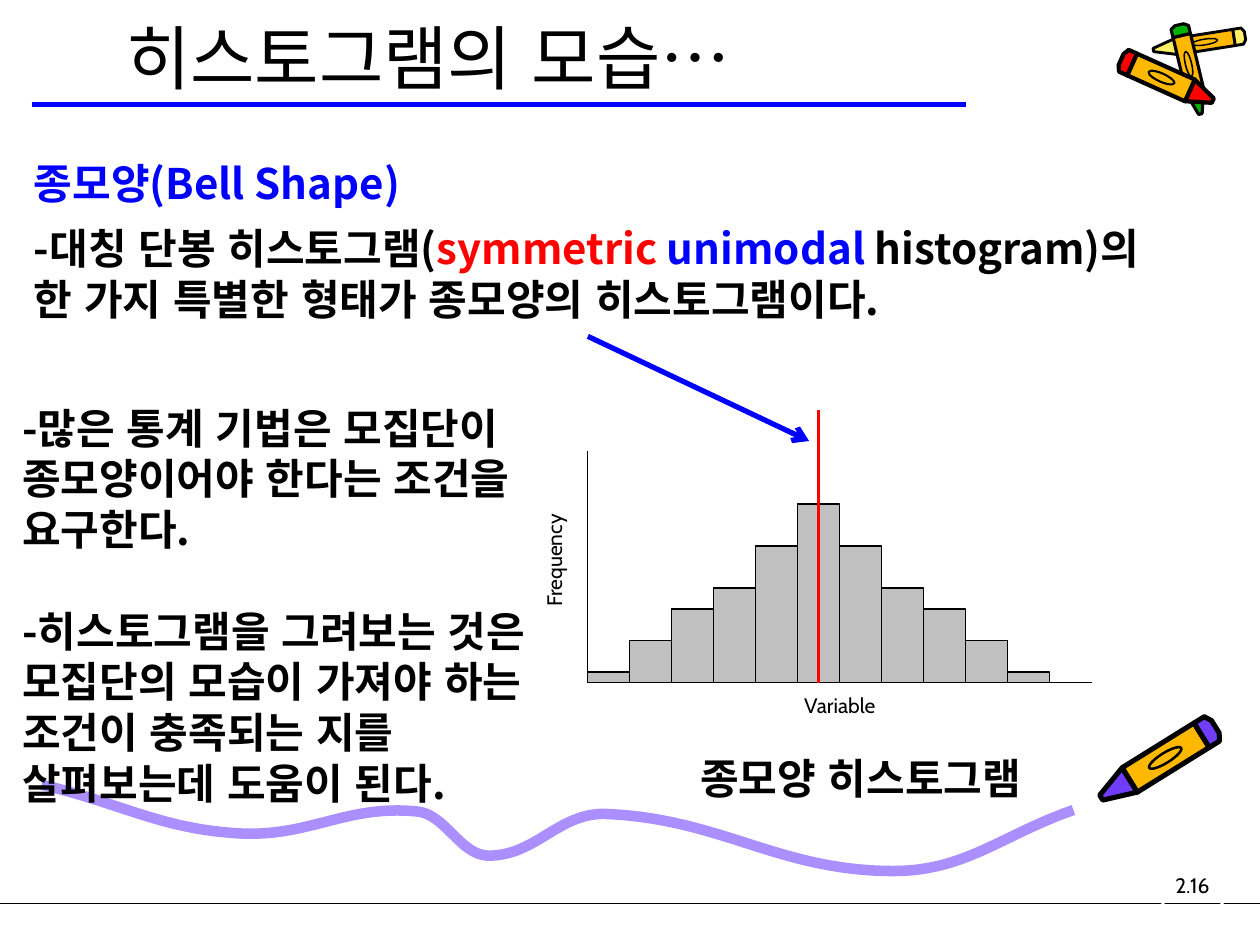
from dataclasses import dataclass
from itertools import pairwise
from math import atan2, degrees, hypot

from lxml.etree import SubElement
from pptx import Presentation
from pptx.dml.color import RGBColor
from pptx.enum.lang import MSO_LANGUAGE_ID
from pptx.enum.shapes import MSO_CONNECTOR, MSO_SHAPE
from pptx.enum.text import MSO_ANCHOR, MSO_AUTO_SIZE, PP_ALIGN
from pptx.oxml.ns import qn
from pptx.util import Cm, Pt


@dataclass(frozen=True)
class Theme:
    black: str = "000000"
    white: str = "FFFFFF"
    blue: str = "0000FF"
    red: str = "FF0000"
    bar: str = "C0C0C0"
    wave: str = "AC8FFF"
    wood: str = "FFB800"
    yellow: str = "FFEF66"
    green: str = "00B200"
    violet: str = "703DFF"
    korean: str = "Noto Sans CJK KR"
    latin: str = "Cabin"
    title_size: int = 40
    body_size: int = 24
    label_size: int = 12
    line_pitch: int = 29


@dataclass(frozen=True)
class Crayon:
    """A crayon from its blunt end to its tip, in centimetres."""
    end: tuple
    tip: tuple
    width: float
    color: str


@dataclass(frozen=True)
class Knot:
    """A point that the wave passes with a given slope, in centimetres."""
    x: float
    y: float
    slope: float


THEME = Theme()
CRAYONS = [
    Crayon((25.1, 0.72), (23.25, 1.01), 0.33, THEME.yellow),
    Crayon((23.77, 0.5), (24.2, 2.3), 0.36, THEME.green),
    Crayon((22.6, 1.2), (24.45, 2.03), 0.48, THEME.red),
    Crayon((24.5, 14.65), (22.2, 16.08), 0.58, THEME.violet),
]
WAVE_KNOTS = [
    Knot(0.84, 15.82, 0.23), Knot(4.8, 16.8, 0.06), Knot(8.41, 16.36, 0.1), Knot(9.86, 17.25, 0),
    Knot(12.22, 16.41, 0.04), Knot(18.01, 17.56, 0), Knot(21.64, 16.33, -0.35),
]
RISING_BARS = [1, 4, 7, 9, 13]
BAR_HEIGHTS = RISING_BARS + [17] + RISING_BARS[::-1]


def rgb(color):
    return RGBColor.from_string(color)


def set_fill(shape, color):
    shape.fill.solid()
    shape.fill.fore_color.rgb = rgb(color)


def set_line(shape, color, width):
    shape.line.color.rgb = rgb(color)
    shape.line.width = Pt(width)


def style_paragraph(para, font, size, bold=False, align=PP_ALIGN.LEFT, color=THEME.black):
    para.alignment = align
    para.font.name = font
    para.font.size = Pt(size)
    para.font.bold = bold
    para.font.color.rgb = rgb(color)
    para.font.language_id = MSO_LANGUAGE_ID.KOREAN
    defaults = para._p.get_or_add_pPr().get_or_add_defRPr()
    SubElement(defaults, qn("a:ea"), typeface=font)


def style_body_paragraph(para, space_before=0, color=THEME.black):
    style_paragraph(para, THEME.korean, THEME.body_size, bold=True, color=color)
    para.line_spacing = Pt(THEME.line_pitch)
    para.space_before = Pt(space_before)


def place(shape, left, top, width, height):
    shape.left, shape.top, shape.width, shape.height = Cm(left), Cm(top), Cm(width), Cm(height)


def add_preset(page, kind, left, top, width, height):
    shape = page.shapes.add_shape(kind, Cm(left), Cm(top), Cm(width), Cm(height))
    shape.shadow.inherit = False
    return shape


def add_label(page, text, frame, font=THEME.latin, size=THEME.label_size, bold=False, rotation=0):
    box = page.shapes.add_textbox(*map(Cm, frame))
    box.rotation = rotation
    box.text_frame.word_wrap = True
    box.text_frame.vertical_anchor = MSO_ANCHOR.MIDDLE
    para = box.text_frame.paragraphs[0]
    para.text = text
    style_paragraph(para, font, size, bold, PP_ALIGN.CENTER)


def add_line(page, start, end, color=THEME.black, width=0.75, arrow=False):
    line = page.shapes.add_connector(MSO_CONNECTOR.STRAIGHT, *map(Cm, start + end))
    set_line(line, color, width)
    if arrow:
        SubElement(line.line._get_or_add_ln(), qn("a:tailEnd"), type="arrow")
    SubElement(line._element.spPr, qn("a:effectLst"))


def add_outline(page, points, closed):
    corners = [(Cm(x), Cm(y)) for x, y in points]
    builder = page.shapes.build_freeform(*corners[0])
    builder.add_line_segments(corners[1:], close=closed)
    shape = builder.convert_to_shape()
    shape.shadow.inherit = False
    return shape


def add_crayon(page, crayon):
    """Draw a coloured cone, a wooden barrel and a coloured cap, then an oval mark on the barrel."""
    (end_x, end_y), (tip_x, tip_y) = crayon.end, crayon.tip
    run, rise = tip_x - end_x, tip_y - end_y
    length = hypot(run, rise)
    stroke = 5 * crayon.width

    def locate(along, across):
        """Turn a share of the length and of the half width into a point on the page."""
        offset = across * crayon.width / 2 / length
        return end_x + along * run - offset * rise, end_y + along * rise + offset * run

    parts = [
        (crayon.color, [(0.75, -1), (1, -0.2), (1, 0.2), (0.75, 1)]),
        (THEME.wood, [(0.12, -1), (0.75, -1), (0.75, 1), (0.12, 1)]),
        (crayon.color, [(0.12, -1), (0.03, -1), (0, -0.5), (0, 0.5), (0.03, 1), (0.12, 1)]),
    ]
    for color, corners in parts:
        part = add_outline(page, [locate(*corner) for corner in corners], closed=True)
        set_fill(part, color)
        set_line(part, THEME.black, stroke)

    mark_width, mark_height = 0.28 * length, 0.35 * crayon.width
    x, y = locate(0.44, 0)
    mark = add_preset(page, MSO_SHAPE.OVAL, x - mark_width / 2, y - mark_height / 2, mark_width, mark_height)
    mark.rotation = degrees(atan2(rise, run))
    mark.fill.background()
    set_line(mark, THEME.black, stroke / 2)


def add_wave(page, steps=40, reach=0.4):
    """Join the knots by cubic curves whose handles reach a fixed share of each span."""
    points = [(WAVE_KNOTS[0].x, WAVE_KNOTS[0].y)]
    for start, end in pairwise(WAVE_KNOTS):
        handle = reach * (end.x - start.x)
        controls = [
            (start.x, start.y),
            (start.x + handle, start.y + handle * start.slope),
            (end.x - handle, end.y - handle * end.slope),
            (end.x, end.y),
        ]
        for step in range(1, steps + 1):
            t = step / steps
            weights = ((1 - t) ** 3, 3 * t * (1 - t) ** 2, 3 * t ** 2 * (1 - t), t ** 3)
            points.append(tuple(sum(w * value for w, value in zip(weights, axis)) for axis in zip(*controls)))
    wave = add_outline(page, points, closed=False)
    wave.fill.background()
    set_line(wave, THEME.wave, 6)


def add_title(page, text):
    title = page.shapes.title
    place(title, 2.29, 0.38, 20.9, 1.52)
    title.text_frame.auto_size = MSO_AUTO_SIZE.NONE
    title.text_frame.vertical_anchor = MSO_ANCHOR.MIDDLE
    title.text_frame.text = text
    style_paragraph(title.text_frame.paragraphs[0], THEME.korean, THEME.title_size)


def add_definition(page):
    body = page.placeholders[1]
    place(body, 0.43, 3.05, 23, 4.34)
    frame = body.text_frame
    frame.auto_size = MSO_AUTO_SIZE.NONE
    heading, definition = frame.paragraphs[0], frame.add_paragraph()
    heading.text = "종모양(Bell Shape)"
    for text, color in [("-대칭 단봉 히스토그램(", THEME.black), ("symmetric ", THEME.red), ("unimodal", THEME.blue),
                        (" histogram)의 한 가지 특별한 형태가 종모양의 히스토그램이다.", THEME.black)]:
        span = definition.add_run()
        span.text = text
        span.font.color.rgb = rgb(color)
    for para, gap, color in [(heading, 0, THEME.blue), (definition, 8, THEME.black)]:
        properties = para._p.get_or_add_pPr()
        properties.set("marL", "0")
        properties.set("indent", "0")
        SubElement(properties, qn("a:buNone"))
        style_body_paragraph(para, gap, color)


def add_remarks(page):
    frame = page.shapes.add_textbox(Cm(0.2), Cm(8), Cm(10.8), Cm(8.38)).text_frame
    frame.word_wrap = True
    frame.vertical_anchor = MSO_ANCHOR.MIDDLE
    frame.text = ("-많은 통계 기법은 모집단이 종모양이어야 한다는 조건을 요구한다.\n"
                  "-히스토그램을 그려보는 것은 모집단의 모습이 가져야 하는 조건이 충족되는 지를 살펴보는데 도움이 된다.")
    for para, gap in zip(frame.paragraphs, (0, THEME.line_pitch)):
        style_body_paragraph(para, gap)


def add_histogram(page):
    left, base, unit = 11.85, 13.76, 2.54 / 12
    bar_width = 4 * unit
    middle = left + len(BAR_HEIGHTS) * bar_width / 2
    add_line(page, (left, base), (22.01, base))
    add_line(page, (left, base), (left, 9.09))
    for index, height in enumerate(BAR_HEIGHTS):
        bar = add_preset(page, MSO_SHAPE.RECTANGLE, left + index * bar_width, base - height * unit,
                         bar_width, height * unit)
        set_fill(bar, THEME.bar)
        set_line(bar, THEME.black, 0.75)
    add_label(page, "Frequency", (8.84, 10.92, 4.65, 0.76), rotation=270)
    add_label(page, "Variable", (left, 13.84, 10.16, 0.76))
    add_label(page, "종모양 히스토그램", (12.27, 15.04, 10.16, 1.27), THEME.korean, THEME.body_size, True)
    add_line(page, (middle, 8.26), (middle, base), THEME.red, 1.5)
    add_line(page, (left, 6.78), (16.31, 8.89), THEME.blue, 3, arrow=True)


def add_page_number(page, text):
    badge = add_preset(page, MSO_SHAPE.OVAL, 23.34, 17.15, 1.4, 1.4)
    badge.fill.background()
    set_line(badge, THEME.white, 1.5)
    frame = badge.text_frame
    frame.margin_left = frame.margin_right = frame.margin_top = frame.margin_bottom = Cm(0.03)
    frame.vertical_anchor = MSO_ANCHOR.MIDDLE
    frame.text = text
    style_paragraph(frame.paragraphs[0], THEME.latin, THEME.label_size, align=PP_ALIGN.CENTER)


def main():
    deck = Presentation()
    deck.slide_width, deck.slide_height = Cm(25.4), Cm(19.05)
    page = deck.slides.add_slide(deck.slide_layouts[1])
    add_line(page, (0, 18.21), (25.4, 18.21))
    add_line(page, (0.64, 2.11), (19.48, 2.11), THEME.blue, 2.5)
    for crayon in CRAYONS:
        add_crayon(page, crayon)
    add_wave(page)
    add_title(page, "히스토그램의 모습…")
    add_definition(page)
    add_page_number(page, "2.16")
    add_histogram(page)
    add_remarks(page)
    deck.save("out.pptx")


if __name__ == "__main__":
    main()
